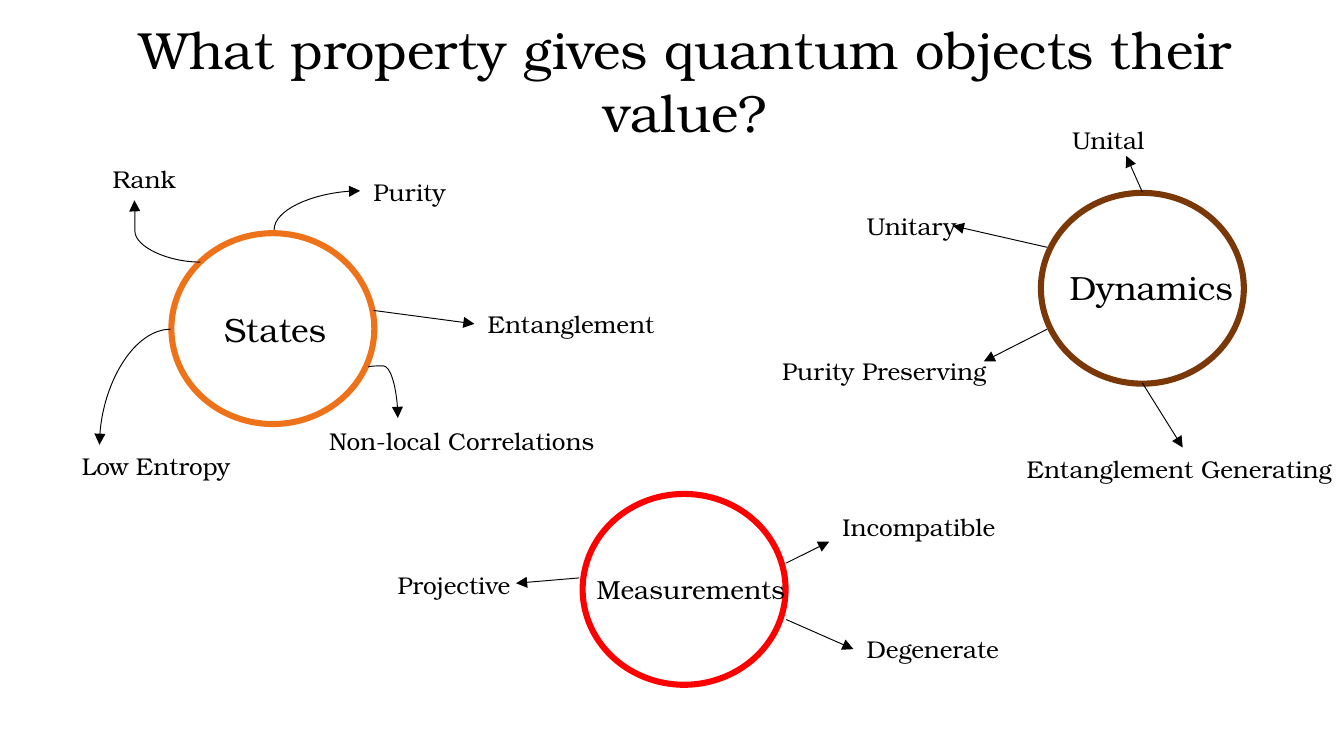
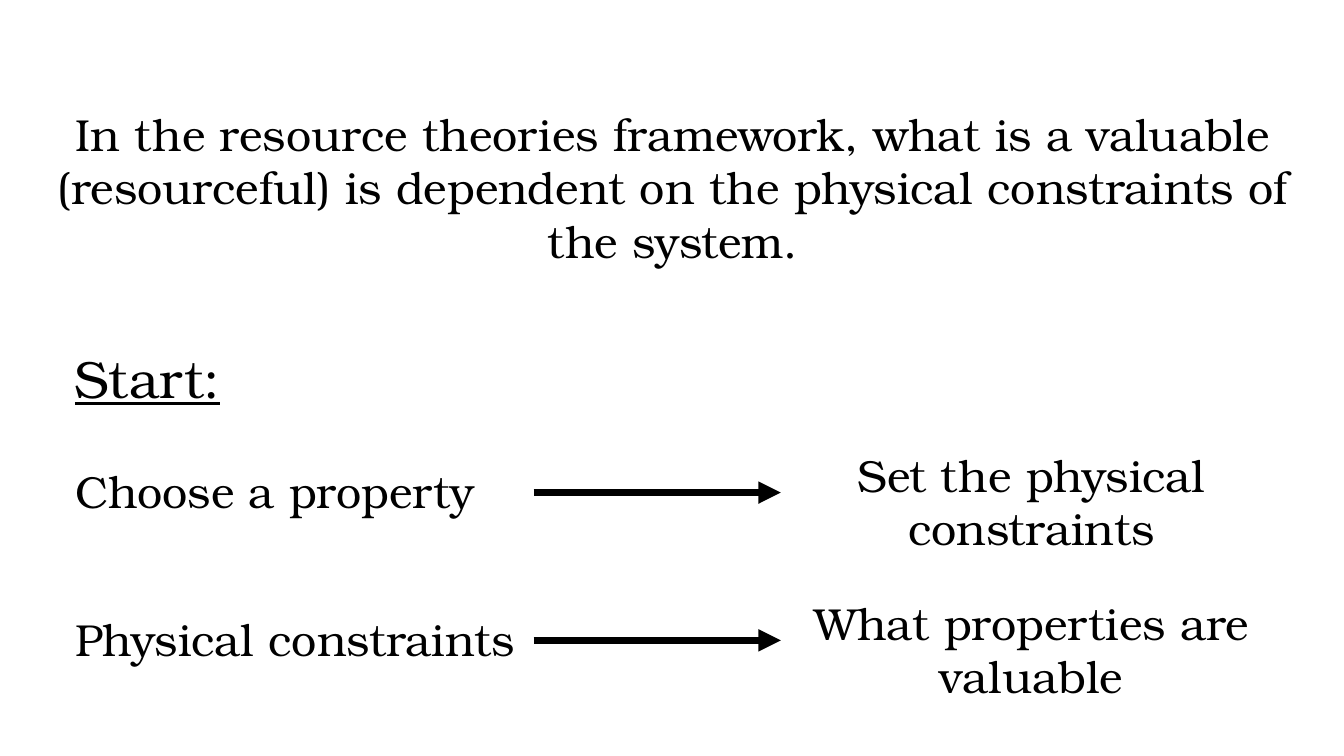
import math
from dataclasses import dataclass
from typing import Optional

from lxml import etree
from pptx import Presentation
from pptx import util as u
from pptx.dml.color import RGBColor
from pptx.enum import shapes, text
from pptx.oxml.ns import qn

COLS, ROWS = 100, 56.25
WIDTH, HEIGHT = u.Inches(10), u.Inches(5.625)
FONT = "TeX Gyre Bonum"
COLORS = {"ink": "000000", "states": "EE7219", "dynamics": "7A3809", "measurements": "FF0000"}
RING_W, RING_H = 15.1, 14.2


@dataclass(frozen=True)
class Label:
    text: str
    x: float
    y: float
    w: float
    h: float = 3.2
    size: float = 13
    underline: bool = False
    centered: bool = False


@dataclass(frozen=True)
class Ring:
    color: str
    cx: float
    cy: float


@dataclass(frozen=True)
class Arrow:
    x1: float
    y1: float
    x2: float
    y2: float
    curve: Optional[str] = None
    turn: int = 0
    adjust: Optional[int] = None


RINGS = [
    Ring("states", 20.3, 24.45),
    Ring("dynamics", 85, 21.45),
    Ring("measurements", 50.9, 43.85),
]

PROPERTY_LABELS = [
    Label("States", 15.7, 22.5, 35.2, 4, 18),
    Label("Dynamics", 78.6, 19.4, 39.7, 4, 18),
    Label("Measurements", 43.4, 42.2, 24.1, 3.4, 14),
    Label("Rank", 7.4, 11.7, 21.5),
    Label("Purity", 26.8, 12.7, 18.3),
    Label("Entanglement", 35.3, 22.5, 24.1),
    Label("Non-local Correlations", 23.5, 31.2, 25.4),
    Label("Low Entropy", 5.1, 33.1, 22.2),
    Label("Unital", 78.8, 8.8, 19.4),
    Label("Unitary", 63.5, 15.2, 14.8),
    Label("Purity Preserving", 57.2, 26, 28.1),
    Label("Entanglement Generating", 75.4, 33.3, 25.2),
    Label("Projective", 28.6, 41.9, 21.4),
    Label("Incompatible", 61.7, 37.6, 20, 5.4),
    Label("Degenerate", 63.5, 46.7, 19.6),
]

PROPERTY_ARROWS = [
    Arrow(20.4, 17.1, 26.8, 14.2, "curvedConnector2", 90),
    Arrow(27.8, 23.1, 35.3, 24.1),
    Arrow(27.4, 27.3, 29.6, 31.1, "curvedConnector3", 270, -2200),
    Arrow(12.7, 24.5, 7.4, 33.1, "curvedConnector2", 180),
    Arrow(14.9, 19.5, 10, 14.9, "curvedConnector3", 180, 99200),
    Arrow(77.9, 18.4, 70.9, 16.8),
    Arrow(85, 28.5, 88, 33.3),
    Arrow(77.9, 24.5, 73.2, 26.9),
    Arrow(85, 14.3, 83.8, 11.6),
    Arrow(43.1, 43, 38.4, 43.4),
    Arrow(58.5, 41.9, 61.7, 40.3),
    Arrow(58.5, 46.1, 63.5, 48.3),
]

STEPS = [
    ("Choose a property", "Set the physical constraints"),
    ("Physical constraints", "What properties are valuable"),
]
FIRST_STEP_ROW, STEP_PITCH = 34, 11


def col(n: float) -> int:
    return round(WIDTH * n / COLS)


def row(n: float) -> int:
    return round(HEIGHT * n / ROWS)


def rgb(name: str) -> RGBColor:
    return RGBColor.from_string(COLORS[name])


def write(tf, words: str, *, size: float, underline: bool = False, centered: bool = False) -> None:
    tf.word_wrap = True
    tf.auto_size = text.MSO_AUTO_SIZE.SHAPE_TO_FIT_TEXT
    tf.vertical_anchor = text.MSO_ANCHOR.TOP
    p = tf.paragraphs[0]
    p.alignment = text.PP_ALIGN.CENTER if centered else text.PP_ALIGN.LEFT
    r = p.add_run()
    r.text = words
    r.font.name = FONT
    r.font.size = u.Pt(size)
    r.font.underline = underline
    r.font.color.rgb = rgb("ink")


def add_label(s, label: Label) -> None:
    sp = s.shapes.add_textbox(col(label.x), row(label.y), col(label.w), row(label.h))
    write(sp.text_frame, label.text, size=label.size,
          underline=label.underline, centered=label.centered)


def set_title(s, label: Label) -> None:
    sp = s.shapes.title
    sp.left, sp.top = col(label.x), row(label.y)
    sp.width, sp.height = col(label.w), row(label.h)
    write(sp.text_frame, label.text, size=label.size, centered=True)


def add_ring(s, ring: Ring) -> None:
    sp = s.shapes.add_shape(shapes.MSO_SHAPE.OVAL, col(ring.cx - RING_W / 2),
                            row(ring.cy - RING_H / 2), col(RING_W), row(RING_H))
    sp.shadow.inherit = False
    sp.fill.background()
    sp.line.color.rgb = rgb(ring.color)
    sp.line.width = u.Pt(3.25)


def add_arrow(s, arrow: Arrow, weight: float) -> None:
    cx, cy = (arrow.x1 + arrow.x2) / 2, (arrow.y1 + arrow.y2) / 2
    dx, dy = arrow.x1 - cx, arrow.y1 - cy
    cos = round(math.cos(math.radians(arrow.turn)))
    sin = round(math.sin(math.radians(arrow.turn)))
    ox, oy = dx * cos + dy * sin, dy * cos - dx * sin
    kind = shapes.MSO_CONNECTOR.CURVE if arrow.curve else shapes.MSO_CONNECTOR.STRAIGHT
    c = s.shapes.add_connector(kind, col(cx + ox), row(cy + oy), col(cx - ox), row(cy - oy))
    c.line.color.rgb = rgb("ink")
    c.line.width = u.Pt(weight)
    props = c.element.spPr
    etree.SubElement(props.find(qn("a:ln")), qn("a:tailEnd"), type="triangle")
    etree.SubElement(props, qn("a:effectLst"))
    if arrow.curve:
        props.find(qn("a:xfrm")).set("rot", str(arrow.turn * 60000))
        geom = props.find(qn("a:prstGeom"))
        geom.set("prst", arrow.curve)
        if arrow.adjust is not None:
            etree.SubElement(geom.find(qn("a:avLst")), qn("a:gd"),
                             name="adj1", fmla=f"val {arrow.adjust}")


def new_slide(prs, title: Label):
    s = prs.slides.add_slide(prs.slide_layouts[5])
    set_title(s, title)
    return s


def build_properties(prs) -> None:
    s = new_slide(prs, Label("What property gives quantum objects their value?",
                             7.4, 0.8, 87.2, 10.4, 28))
    for ring in RINGS:
        add_ring(s, ring)
    for label in PROPERTY_LABELS:
        add_label(s, label)
    for arrow in PROPERTY_ARROWS:
        add_arrow(s, arrow, 0.5)


def build_framework(prs) -> None:
    s = new_slide(prs, Label(
        "In the resource theories framework, what is a valuable (resourceful) "
        "is dependent on the physical constraints of the system.",
        2, 7.4, 96.1, 13.2, 24))
    add_label(s, Label("Start:", 4.6, 25.3, 33.4, 5.7, 28, underline=True))
    for i, (given, result) in enumerate(STEPS):
        y = FIRST_STEP_ROW + i * STEP_PITCH
        add_label(s, Label(given, 4.6, y, 81.5, 5, 24))
        add_label(s, Label(result, 56.9, y - 1.2, 39.7, 9.1, 24, centered=True))
        add_arrow(s, Arrow(39.7, y + 2.65, 58.1, y + 2.65), 4)


def main() -> None:
    prs = Presentation()
    prs.slide_width, prs.slide_height = WIDTH, HEIGHT
    build_properties(prs)
    build_framework(prs)
    prs.save("out.pptx")


if __name__ == "__main__":
    main()
